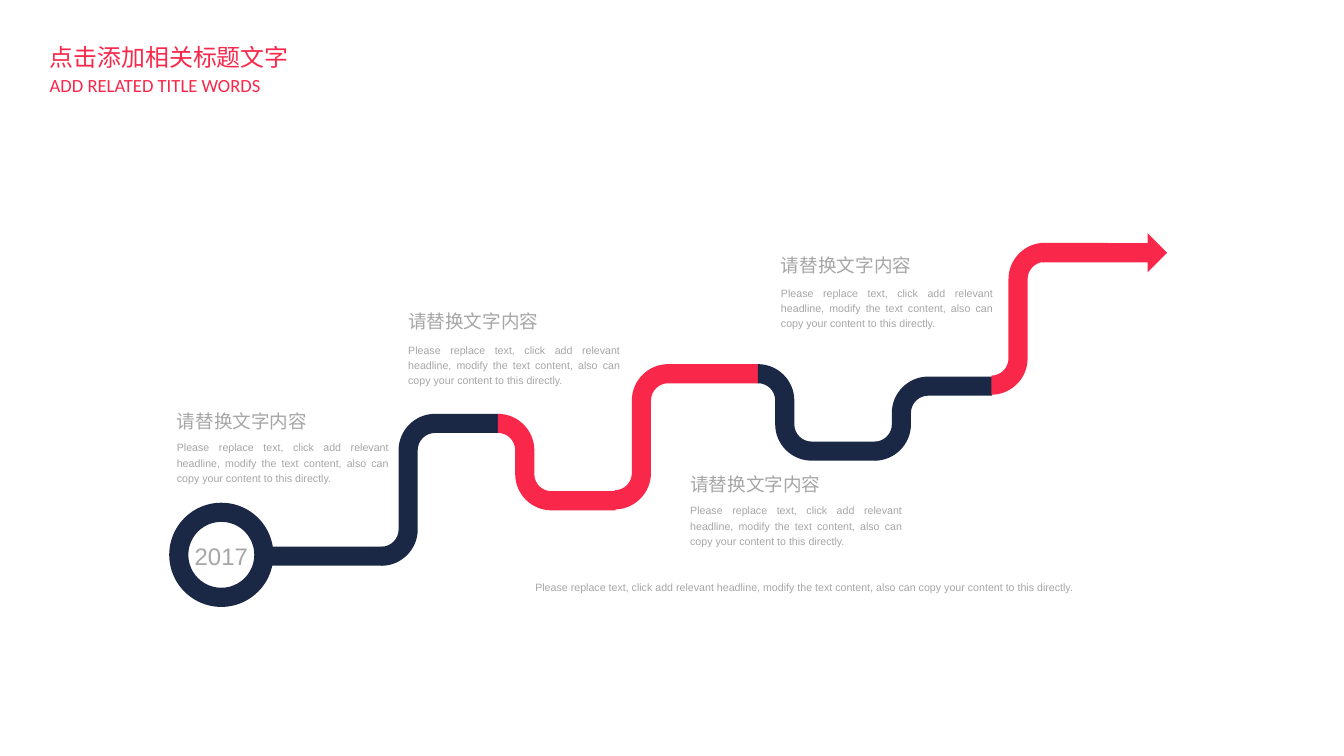
from dataclasses import dataclass

from lxml import etree
from pptx import Presentation
from pptx.dml.color import RGBColor
from pptx.enum.shapes import MSO_SHAPE
from pptx.enum.text import MSO_ANCHOR, PP_ALIGN
from pptx.oxml.ns import qn
from pptx.util import Inches, Pt

DONUT, RECTANGLE, ARROW = MSO_SHAPE.DONUT, MSO_SHAPE.RECTANGLE, MSO_SHAPE.RIGHT_ARROW
TOP, MIDDLE = MSO_ANCHOR.TOP, MSO_ANCHOR.MIDDLE
LEFT, CENTER, JUSTIFY = PP_ALIGN.LEFT, PP_ALIGN.CENTER, PP_ALIGN.JUSTIFY


@dataclass(frozen=True)
class Theme:
    navy: RGBColor = RGBColor(0x1A, 0x28, 0x45)
    red: RGBColor = RGBColor(0xF9, 0x27, 0x4A)
    gray: RGBColor = RGBColor(0xA6, 0xA6, 0xA6)
    body_font: str = "Arial"
    title_font: str = "Noto Sans CJK SC"
    subtitle_font: str = "Calibri"
    title_size: int = 18
    heading_size: int = 14
    body_size: int = 8


THEME = Theme()
BAND = 0.2
OUTER = 0.38
INNER = OUTER - BAND
ROUND = 0.55
HEADING = "请替换文字内容"
BODY = ("Please replace text, click add relevant headline, modify the text content, "
        "also can copy your content to this directly.")

ROAD = [
    (6.43, 3.81, 1.51, 1.52, True, THEME.red),
    (9.15, 3.94, 1.23, 0.88, True, THEME.navy),
    (7.93, 3.81, 1.23, 1.01, False, THEME.navy),
    (3.99, 4.33, 1.23, 1.59, True, THEME.navy),
    (5.21, 4.33, 1.23, 1.01, False, THEME.red),
    (10.37, 2.54, 1.22, 1.59, True, THEME.red),
]
TOPICS = [
    (4.27, 3.2, 1.83, 0.37),
    (7.22, 4.9, 1.91, 0.35),
    (8.17, 2.61, 1.97, 0.36),
    (1.85, 4.24, 1.75, 0.35),
]


def paint(shape, color):
    shape.shadow.inherit = False
    shape.fill.solid()
    shape.fill.fore_color.rgb = color
    shape.line.fill.background()


def write(shape, text, size, font, color, align=LEFT, anchor=TOP,
          insets=(0, 0), spacing=1.2, wrap=True):
    frame = shape.text_frame
    frame.text = text
    frame.word_wrap = wrap
    frame.vertical_anchor = anchor
    frame.margin_left = frame.margin_right = Inches(insets[0])
    frame.margin_top = frame.margin_bottom = Inches(insets[1])
    para = frame.paragraphs[0]
    para.alignment = align
    para.line_spacing = spacing
    span = para.runs[0]
    span.font.size = Pt(size)
    span.font.name = font
    span.font.color.rgb = color
    latin = span.font._element.find(qn("a:latin"))
    latin.addnext(etree.Element(qn("a:ea"), typeface=THEME.title_font))


def add_text(page, box, text, size, font, color, **style):
    shape = page.shapes.add_textbox(*map(Inches, box))
    write(shape, text, size, font, color, **style)


def curve(start, corner, end):
    controls = [tuple(a + ROUND * (b - a) for a, b in zip(point, corner))
                for point in (start, end)]
    return [*controls, end]


def bend_steps(width, height):
    inner_x, outer_x, turn = INNER, OUTER, INNER + OUTER
    low = height - OUTER
    return [
        curve((0, height - BAND), (inner_x, height - BAND), (inner_x, low)),
        [(inner_x, OUTER)],
        curve((inner_x, OUTER), (inner_x, 0), (turn, 0)),
        [(width, 0)],
        [(width, BAND)],
        [(turn, BAND)],
        curve((turn, BAND), (outer_x, BAND), (outer_x, OUTER)),
        [(outer_x, low)],
        curve((outer_x, low), (outer_x, height), (0, height)),
    ]


def round_corners(shape, steps):
    lines = iter(list(shape._element.iter(qn("a:lnTo"))))
    for step in steps:
        pieces = [next(lines) for _ in step]
        if len(pieces) == 3:
            bezier = etree.Element(qn("a:cubicBezTo"))
            pieces[0].addprevious(bezier)
            for piece in pieces:
                bezier.append(piece[0])
                piece.getparent().remove(piece)


def add_bend(page, left, top, width, height, rising, color):
    def spot(point):
        x, y = point
        return Inches(left + x), Inches(top + (y if rising else height - y))

    steps = bend_steps(width, height)
    builder = page.shapes.build_freeform(*spot((0, height - BAND)))
    builder.add_line_segments([spot(point) for step in steps for point in step], close=True)
    shape = builder.convert_to_shape()
    round_corners(shape, steps)
    paint(shape, color)


def add_road(page):
    for bend in ROAD:
        add_bend(page, *bend)
    stub = page.shapes.add_shape(RECTANGLE, *map(Inches, (2.84, 5.72, 1.16, BAND)))
    paint(stub, THEME.navy)
    arrow = page.shapes.add_shape(ARROW, *map(Inches, (10.9, 2.44, 1.31, 0.41)))
    arrow.adjustments[0] = BAND / 0.41
    paint(arrow, THEME.red)


def add_start(page, left, top, size):
    ring = page.shapes.add_shape(DONUT, *map(Inches, (left, top, size, size)))
    ring.adjustments[0] = BAND / size
    paint(ring, THEME.navy)
    add_text(page, (left + 0.09, top + 0.35, size - 0.18, 0.36), "2017",
             THEME.title_size, THEME.body_font, THEME.gray, align=CENTER)


def add_topic(page, left, top, width, gap):
    add_text(page, (left, top, width, 0.28), HEADING,
             THEME.heading_size, THEME.body_font, THEME.gray)
    add_text(page, (left, top + gap, 2.22, 0.48), BODY,
             THEME.body_size, THEME.body_font, THEME.gray, align=JUSTIFY, anchor=MIDDLE)


def add_header(page, left, top):
    style = {"insets": (0.11, 0.05), "spacing": 1.0, "wrap": False}
    title = page.shapes.title
    title.left, title.top = Inches(left), Inches(top)
    title.width, title.height = Inches(2.74), Inches(0.41)
    write(title, "点击添加相关标题文字", THEME.title_size, THEME.title_font, THEME.red, **style)
    add_text(page, (left, top + 0.32, 2.44, 0.34), "ADD RELATED TITLE WORDS",
             THEME.heading_size, THEME.subtitle_font, THEME.red, **style)


def main():
    deck = Presentation()
    deck.slide_width, deck.slide_height = Inches(14.06), Inches(7.91)
    page = deck.slides.add_slide(deck.slide_layouts[5])
    add_header(page, 0.41, 0.4)
    add_road(page)
    add_start(page, 1.77, 5.26, 1.09)
    for topic in TOPICS:
        add_topic(page, *topic)
    add_text(page, (5.6, 6.05, 6.76, 0.15), BODY,
             THEME.body_size, THEME.body_font, THEME.gray, align=JUSTIFY)
    deck.save("out.pptx")


if __name__ == "__main__":
    main()
